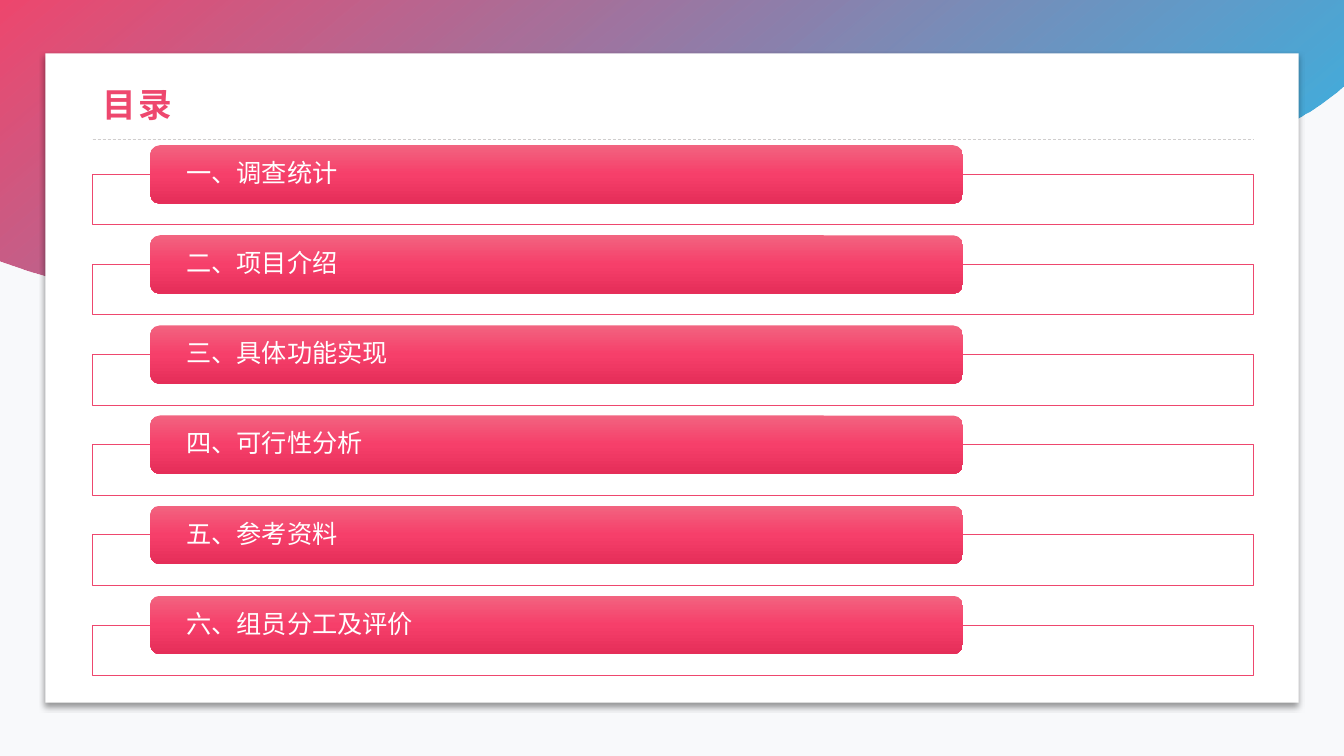
from lxml import etree
from pptx import Presentation
from pptx.dml.color import RGBColor
from pptx.enum.dml import MSO_LINE
from pptx.enum.shapes import MSO_CONNECTOR, MSO_SHAPE
from pptx.enum.text import MSO_ANCHOR, MSO_AUTO_SIZE, PP_ALIGN
from pptx.oxml.ns import qn
from pptx.util import Pt

PX = 9144
RECT, ROUNDED = MSO_SHAPE.RECTANGLE, MSO_SHAPE.ROUNDED_RECTANGLE
STRAIGHT = MSO_CONNECTOR.STRAIGHT
DASH = MSO_LINE.DASH
MIDDLE, LEFT = MSO_ANCHOR.MIDDLE, PP_ALIGN.LEFT
FIXED_SIZE = MSO_AUTO_SIZE.NONE

ACCENT = "EE476E"
WAVE_GRADIENT = [(0, ACCENT, 100), (100, "16B3E8", 90)]
BAR_GRADIENT = [(0, "F26480", 100), (50, "F63F6A", 100), (100, "E52E59", 100)]
WAVE_START = (0, 258)
WAVE_CURVES = [
    [(122, 304), (266, 311), (393, 274)],
    [(530, 235), (648, 151), (792, 136)],
    [(936, 121), (1088, 180), (1227, 142)],
    [(1267, 131), (1304, 111), (1333, 85)],
]
CURVE_STEPS = 24
CONTENTS = [
    "一、调查统计",
    "二、项目介绍",
    "三、具体功能实现",
    "四、可行性分析",
    "五、参考资料",
    "六、组员分工及评价",
]


def px(length):
    return round(length * PX)


def color(value):
    return RGBColor.from_string(value)


def child(parent, tag, **attributes):
    element = etree.SubElement(parent, qn(tag))
    for key, value in attributes.items():
        element.set(key, str(value))
    return element


def set_alpha(fill_element, percent):
    child(fill_element.find(".//" + qn("a:srgbClr")), "a:alpha", val=percent * 1000)


def set_gradient(shape, stops, angle):
    shape.fill.gradient()
    gradient = shape._element.spPr.find(qn("a:gradFill"))
    for part in list(gradient):
        gradient.remove(part)
    stop_list = child(gradient, "a:gsLst")
    for position, value, opacity in stops:
        stop = child(stop_list, "a:gs", pos=position * 1000)
        child(stop, "a:srgbClr", val=value)
        if opacity < 100:
            set_alpha(stop, opacity)
    child(gradient, "a:lin", ang=angle * 60000, scaled=0)


def add_block(slide, kind, x, y, width, height):
    block = slide.shapes.add_shape(kind, px(x), px(y), px(width), px(height))
    block.shadow.inherit = False
    block.line.fill.background()
    return block


def write(shape, text, size, font_name, value, bold=False):
    frame = shape.text_frame
    frame.word_wrap = True
    frame.auto_size = FIXED_SIZE
    frame.vertical_anchor = MIDDLE
    paragraph = frame.paragraphs[0]
    paragraph.alignment = LEFT
    paragraph.line_spacing = 0.9
    run = paragraph.add_run()
    run.text = text
    run.font.size = Pt(size)
    run.font.bold = bold
    run.font.color.rgb = color(value)
    run.font.name = font_name
    child(run._r.rPr, "a:ea", typeface=font_name)
    return paragraph


def curve_points(start, curves):
    points = []
    for first, second, end in curves:
        for step in range(1, CURVE_STEPS + 1):
            t = step / CURVE_STEPS
            weights = ((1 - t) ** 3, 3 * t * (1 - t) ** 2, 3 * t**2 * (1 - t), t**3)
            anchors = (start, first, second, end)
            points.append(tuple(
                px(sum(w * anchor[axis] for w, anchor in zip(weights, anchors)))
                for axis in (0, 1)
            ))
        start = end
    return points


def add_wave(slide, x, y, width):
    outline = slide.shapes.build_freeform(0, 0)
    edge = curve_points(WAVE_START, WAVE_CURVES)
    start = tuple(px(value) for value in WAVE_START)
    outline.add_line_segments([start, *edge, (px(width), 0)], close=True)
    wave = outline.convert_to_shape(px(x), px(y))
    wave.shadow.inherit = False
    wave.line.fill.background()
    set_gradient(wave, WAVE_GRADIENT, 50)


def add_card(slide, x, y, width, height):
    card = add_block(slide, RECT, x, y, width, height)
    card.fill.solid()
    card.fill.fore_color.rgb = color("FFFFFF")
    effects = card._element.spPr.find(qn("a:effectLst"))
    shadow = child(effects, "a:outerShdw", blurRad=Pt(4), dist=Pt(3),
                   dir=90 * 60000, algn="t", rotWithShape=0)
    child(shadow, "a:srgbClr", val="000000")
    set_alpha(shadow, 40)


def add_heading(slide, x, y, width, height):
    rule = slide.shapes.add_connector(
        STRAIGHT, px(x), px(y + height), px(x + width), px(y + height))
    rule.line.color.rgb = color("D0CECE")
    rule.line.width = Pt(0.5)
    rule.line.dash_style = DASH
    child(rule._element.spPr, "a:effectLst")
    title = slide.shapes.title
    title.left, title.top, title.width, title.height = map(px, (x, y, width, height))
    heading = write(title, "目录", 24, "Noto Sans CJK SC", ACCENT, bold=True)
    heading.runs[0]._r.rPr.set("spc", "150")
    title._element.getparent().append(title._element)


def add_entry(slide, text, x, y, width, height):
    bar_height = 58
    frame_top = bar_height // 2
    frame = add_block(slide, RECT, x, y + frame_top, width, height - frame_top)
    frame.fill.solid()
    frame.fill.fore_color.rgb = color("FFFFFF")
    set_alpha(frame._element.spPr.find(qn("a:solidFill")), 90)
    frame.line.color.rgb = color(ACCENT)
    frame.line.width = Pt(0.5)

    bar = add_block(slide, ROUNDED, x + 57, y, round(width * 0.7), bar_height)
    set_gradient(bar, BAR_GRADIENT, 90)
    label = bar.text_frame
    label.margin_left = label.margin_right = px(33)
    label.margin_top = label.margin_bottom = 0
    paragraph = write(bar, text, 18, "Noto Sans CJK JP", "FFFFFF")
    paragraph.space_after = Pt(6.3)


def add_contents(slide, x, y, width, height):
    entry_height = 79
    pitch = (height - entry_height) / (len(CONTENTS) - 1)
    for index, text in enumerate(CONTENTS):
        add_entry(slide, text, x, y + index * pitch, width, entry_height)


def main():
    deck = Presentation()
    deck.slide_width, deck.slide_height = px(1333), px(750)
    slide = deck.slides.add_slide(deck.slide_layouts.get_by_name("Title Only"))
    slide.background.fill.solid()
    slide.background.fill.fore_color.rgb = color("F8F9FB")
    add_wave(slide, 0, 0, 1333)
    add_card(slide, 45, 53, 1243, 644)
    add_heading(slide, 92, 74, 1151, 64)
    add_contents(slide, 92, 144, 1151, 526)
    deck.save("out.pptx")


if __name__ == "__main__":
    main()
